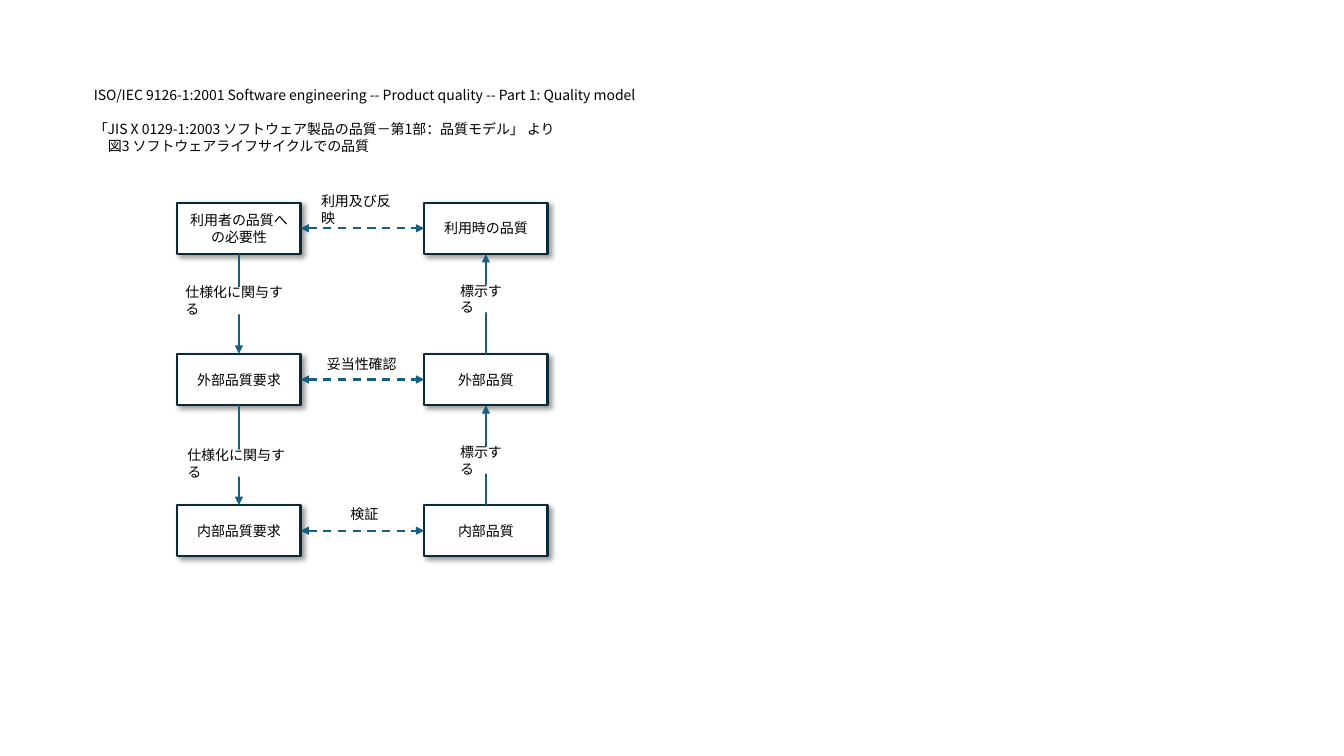
from lxml.etree import SubElement
from pptx import Presentation
from pptx.dml.color import RGBColor
from pptx.enum.dml import MSO_LINE
from pptx.enum.shapes import MSO_CONNECTOR, MSO_SHAPE
from pptx.enum.text import MSO_ANCHOR, MSO_AUTO_SIZE, PP_ALIGN
from pptx.oxml.ns import qn
from pptx.util import Pt

# Content: heading lines as (text, space before, left indent)
HEADING = [
    ("ISO/IEC 9126-1:2001 Software engineering -- Product quality -- Part 1: Quality model", 0, 0),
    ("「JIS X 0129-1:2003 ソフトウェア製品の品質－第1部：品質モデル」 より", 12, 0),
    ("図3 ソフトウェアライフサイクルでの品質", 0, 10),
]
BOXES = [
    ("利用者の品質への必要性", "利用時の品質"),
    ("外部品質要求", "外部品質"),
    ("内部品質要求", "内部品質"),
]
# Labels as (text, width, shift of the label centre from the arrow centre)
ACROSS = [("利用及び反映", 73.4, 0, -13.2), ("妥当性確認", 65, 0, -11), ("検証", 35, 1.8, -11.8)]
DOWN = [("仕様化に関与する", 89.3, -0.7, -2.2), ("仕様化に関与する", 89.3, 0.7, 5.8)]
UP = [("標示する", 51.1, 0, -3.6), ("標示する", 51.1, 0, 3.6)]

COLORS = {"white": "FFFFFF", "black": "000000", "border": "092A39", "arrow": "156082"}
FONT = "Noto Sans CJK JP"

# Grid of boxes, in points
LEFT, TOP = 126.7, 144.7
COLUMN_STEP, ROW_STEP = 176.4, 108
BOX_WIDTH, BOX_HEIGHT = 88, 36.8
LABEL_HEIGHT = 19.4


def color(name):
    return RGBColor.from_string(COLORS[name])


def style_text(paragraph, alignment=PP_ALIGN.LEFT):
    paragraph.alignment = alignment
    paragraph.font.size = Pt(10)
    paragraph.font.name = FONT
    paragraph.font.color.rgb = color("black")
    for run in paragraph.runs:
        properties = run.font._element if hasattr(run.font, "_element") else run._r.get_or_add_rPr()
        SubElement(properties, qn("a:ea"), typeface=FONT)


def add_rectangle(text, left, top, width, height, alignment, inset):
    shape = slide.shapes.add_shape(
        MSO_SHAPE.RECTANGLE, Pt(left), Pt(top), Pt(width), Pt(height))
    shape.shadow.inherit = False
    shape.fill.solid()
    shape.fill.fore_color.rgb = color("white")
    shape.line.fill.background()
    frame = shape.text_frame
    frame.word_wrap = True
    frame.vertical_anchor = MSO_ANCHOR.MIDDLE
    frame.margin_left = frame.margin_right = Pt(inset[0])
    frame.margin_top = frame.margin_bottom = Pt(inset[1])
    frame.text = text
    style_text(frame.paragraphs[0], alignment)
    return shape


def add_box(text, column, row):
    box = add_rectangle(text, LEFT + column * COLUMN_STEP, TOP + row * ROW_STEP,
                        BOX_WIDTH, BOX_HEIGHT, PP_ALIGN.CENTER, (8.64, 5.76))
    box.line.color.rgb = color("border")
    box.line.width = Pt(1.5)
    effects = box._element.spPr.find(qn("a:effectLst"))
    shadow = SubElement(effects, qn("a:outerShdw"), blurRad=str(Pt(4)), dist=str(Pt(3)),
                        dir=str(45 * 60000), algn="tl", rotWithShape="0")
    shade = SubElement(shadow, qn("a:srgbClr"), val=COLORS["black"])
    SubElement(shade, qn("a:alpha"), val="40000")


def add_arrow(start, end, two_way=False):
    arrow = slide.shapes.add_connector(
        MSO_CONNECTOR.STRAIGHT, *(Pt(value) for value in start + end))
    arrow.line.color.rgb = color("arrow")
    arrow.line.width = Pt(1.5)
    if two_way:
        arrow.line.dash_style = MSO_LINE.DASH
    line = arrow.line._get_or_add_ln()
    for tag in ["a:headEnd", "a:tailEnd"] if two_way else ["a:tailEnd"]:
        SubElement(line, qn(tag), type="triangle")
    SubElement(arrow._element.spPr, qn("a:effectLst"))


def add_label(label, center_x, center_y):
    text, width, shift_x, shift_y = label
    add_rectangle(text, center_x + shift_x - width / 2, center_y + shift_y - LABEL_HEIGHT / 2,
                  width, LABEL_HEIGHT, PP_ALIGN.LEFT, (7.2, 3.6))


presentation = Presentation()
presentation.slide_width, presentation.slide_height = Pt(960), Pt(540)
slide = presentation.slides.add_slide(presentation.slide_layouts[5])

# Heading
title = slide.shapes.title
title.left, title.top, title.width, title.height = Pt(59.8), Pt(58.3), Pt(442), Pt(55.4)
heading = title.text_frame
heading.word_wrap = True
heading.auto_size = MSO_AUTO_SIZE.NONE
heading.vertical_anchor = MSO_ANCHOR.TOP
heading.text = "\n".join(text for text, _, _ in HEADING)
for paragraph, (_, space, indent) in zip(heading.paragraphs, HEADING):
    paragraph.space_before = Pt(space)
    paragraph._p.get_or_add_pPr().set("marL", str(Pt(indent)))
    style_text(paragraph)

# Boxes
for row, names in enumerate(BOXES):
    for column, name in enumerate(names):
        add_box(name, column, row)

# Arrows between rows, then across columns
left_x = LEFT + BOX_WIDTH / 2
right_x = left_x + COLUMN_STEP
gaps = [(TOP + row * ROW_STEP + BOX_HEIGHT, TOP + (row + 1) * ROW_STEP) for row in range(2)]
middles = [TOP + row * ROW_STEP + BOX_HEIGHT / 2 for row in range(3)]
for upper, lower in gaps:
    add_arrow((left_x, upper), (left_x, lower))
    add_arrow((right_x, lower), (right_x, upper))
for middle in middles:
    add_arrow((LEFT + BOX_WIDTH, middle), (LEFT + COLUMN_STEP, middle), two_way=True)

# Labels over the arrows
for label, middle in zip(ACROSS, middles):
    add_label(label, (left_x + right_x) / 2, middle)
for down, up, (upper, lower) in zip(DOWN, UP, gaps):
    add_label(down, left_x, (upper + lower) / 2)
    add_label(up, right_x, (upper + lower) / 2)

presentation.save("out.pptx")
